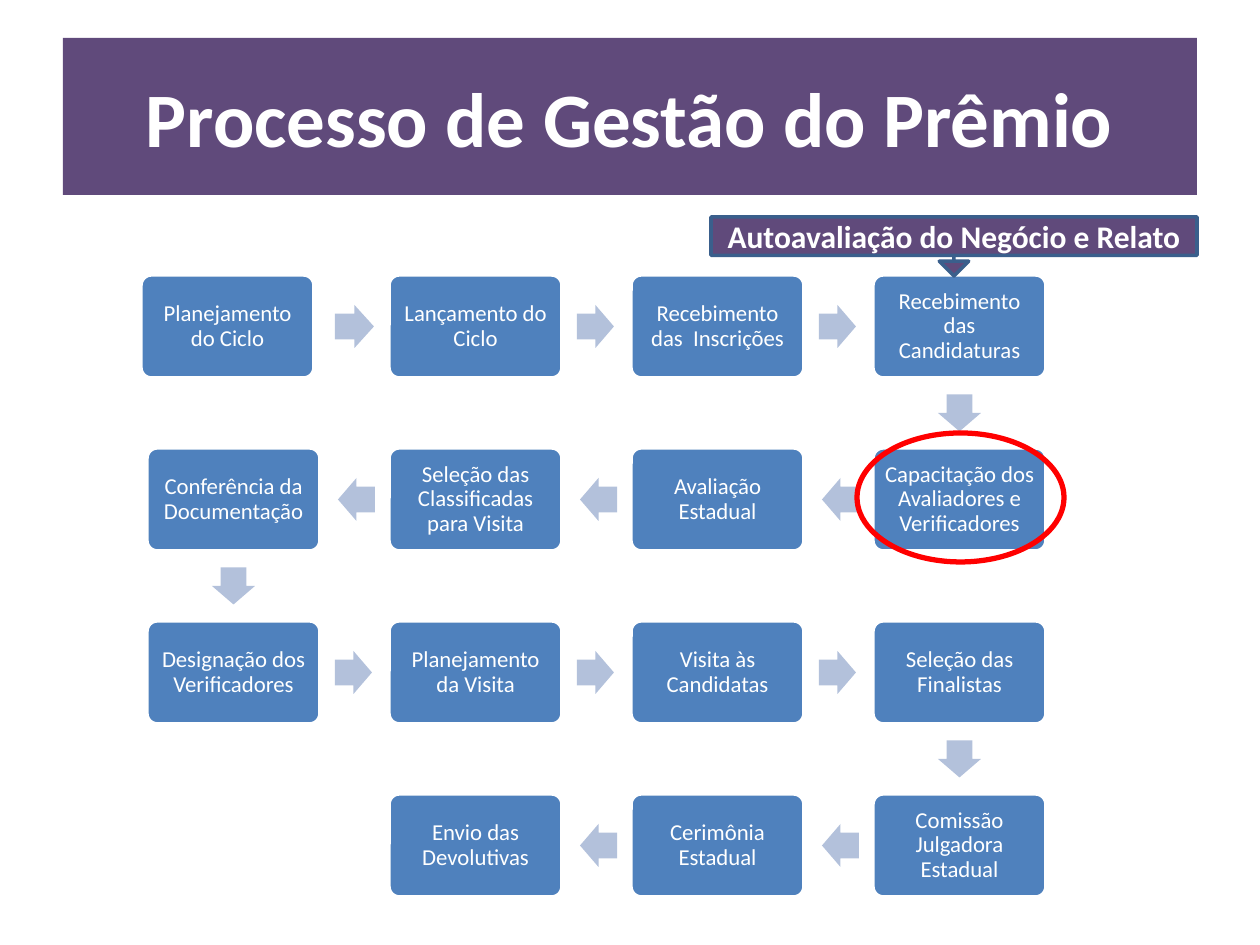
from dataclasses import dataclass

from pptx import Presentation
from pptx import util as u
from pptx.dml.color import RGBColor
from pptx.enum import shapes, text

PIXEL = 914400 // 126
KIND = shapes.MSO_SHAPE


@dataclass(frozen=True)
class Theme:
    font: str = "Calibri"
    purple: str = "604A7B"
    blue: str = "4F81BD"
    pale_blue: str = "B3C1DB"
    dark_blue: str = "3A5F8C"
    red: str = "FF0000"
    white: str = "FFFFFF"
    title_size: int = 44
    callout_size: int = 18
    step_size: int = 13


THEME = Theme()

# Step grid, in pixels
COLUMNS = [147 + 242 * column for column in range(4)]
ROWS = [275 + 173 * row for row in range(4)]
STEP_WIDTH, STEP_HEIGHT = 173, 103
ARROW_WIDTH, ARROW_HEIGHT = 37, 43
FIRST_STEP_LEFT, FIRST_ARROW_WIDTH = 141, 39

# Steps in process order: (column, row, label)
STEPS = [
    (0, 0, "Planejamento do Ciclo"),
    (1, 0, "Lançamento do Ciclo"),
    (2, 0, "Recebimento das  Inscrições"),
    (3, 0, "Recebimento das Candidaturas"),
    (3, 1, "Capacitação dos Avaliadores e Verificadores"),
    (2, 1, "Avaliação Estadual"),
    (1, 1, "Seleção das Classificadas para Visita"),
    (0, 1, "Conferência da Documentação"),
    (0, 2, "Designação dos Verificadores"),
    (1, 2, "Planejamento da Visita"),
    (2, 2, "Visita às Candidatas"),
    (3, 2, "Seleção das Finalistas"),
    (3, 3, "Comissão Julgadora Estadual"),
    (2, 3, "Cerimônia Estadual"),
    (1, 3, "Envio das Devolutivas"),
]


def px(length):
    return u.Emu(round(length * PIXEL))


def add_shape(page, kind, left, top, width, height, fill=None, line=None,
              line_width=2, adjustments=(), rotation=0):
    shape = page.shapes.add_shape(kind, px(left), px(top), px(width), px(height))
    shape.shadow.inherit = False
    shape.rotation = rotation
    for index, value in enumerate(adjustments):
        shape.adjustments[index] = value
    if fill:
        shape.fill.solid()
        shape.fill.fore_color.rgb = RGBColor.from_string(fill)
    else:
        shape.fill.background()
    if line:
        shape.line.color.rgb = RGBColor.from_string(line)
        shape.line.width = u.Pt(line_width)
    else:
        shape.line.fill.background()
    return shape


def write_text(box, words, size, bold=False, color=THEME.white, spacing=1.0, inset=None):
    frame = box.text_frame
    frame.word_wrap = True
    frame.vertical_anchor = text.MSO_ANCHOR.MIDDLE
    if inset is not None:
        frame.margin_left = frame.margin_right = px(inset)
        frame.margin_top = frame.margin_bottom = px(inset)
    para = frame.paragraphs[0]
    para.alignment = text.PP_ALIGN.CENTER
    para.line_spacing = spacing
    span = para.add_run()
    span.text = words
    span.font.name = THEME.font
    span.font.size = u.Pt(size)
    span.font.bold = bold
    span.font.color.rgb = RGBColor.from_string(color)


def add_step(page, column, row, label):
    left = FIRST_STEP_LEFT if (column, row) == (0, 0) else COLUMNS[column]
    box = add_shape(page, KIND.ROUNDED_RECTANGLE, left, ROWS[row], STEP_WIDTH, STEP_HEIGHT,
                    fill=THEME.blue, line=THEME.white, adjustments=[0.1])
    write_text(box, label, THEME.step_size, spacing=0.9, inset=6)


def add_step_arrow(page, start, end):
    (column, row), (next_column, next_row) = start, end
    width = FIRST_ARROW_WIDTH if start == (0, 0) else ARROW_WIDTH
    if next_row > row:
        rotation = 90
        left = COLUMNS[column] + (STEP_WIDTH - width) / 2
        middle = (ROWS[row] + STEP_HEIGHT + ROWS[next_row]) / 2
    else:
        forward = next_column > column
        rotation = 0 if forward else 180
        left = COLUMNS[max(column, next_column)] - (54 if forward else 51)
        middle = ROWS[row] + STEP_HEIGHT / 2
    add_shape(page, KIND.RIGHT_ARROW, left, middle - ARROW_HEIGHT / 2, width, ARROW_HEIGHT,
              fill=THEME.pale_blue, adjustments=[0.6, 0.5], rotation=rotation)


def main():
    deck = Presentation()
    deck.slide_width, deck.slide_height = u.Inches(10), u.Inches(7.5)
    page = deck.slides.add_slide(deck.slide_layouts[6])

    # Title band
    title = add_shape(page, KIND.RECTANGLE, 63, 38, 1134, 157, fill=THEME.purple)
    write_text(title, "Processo de Gestão do Prêmio", THEME.title_size, bold=True)

    # Process flow
    for column, row, label in STEPS:
        add_step(page, column, row, label)
    for start, end in zip(STEPS, STEPS[1:]):
        add_step_arrow(page, start[:2], end[:2])

    # Callout above the applications step
    callout = add_shape(page, KIND.DOWN_ARROW_CALLOUT, 711, 217, 486, 59, fill=THEME.purple,
                        line=THEME.dark_blue, adjustments=[0, 0.25, 0.25, 0.65])
    write_text(callout, "Autoavaliação do Negócio e Relato", THEME.callout_size, bold=True)

    # Ring around the current step
    add_shape(page, KIND.OVAL, 857, 433, 207, 129, line=THEME.red, line_width=3)

    deck.save("out.pptx")


main()
